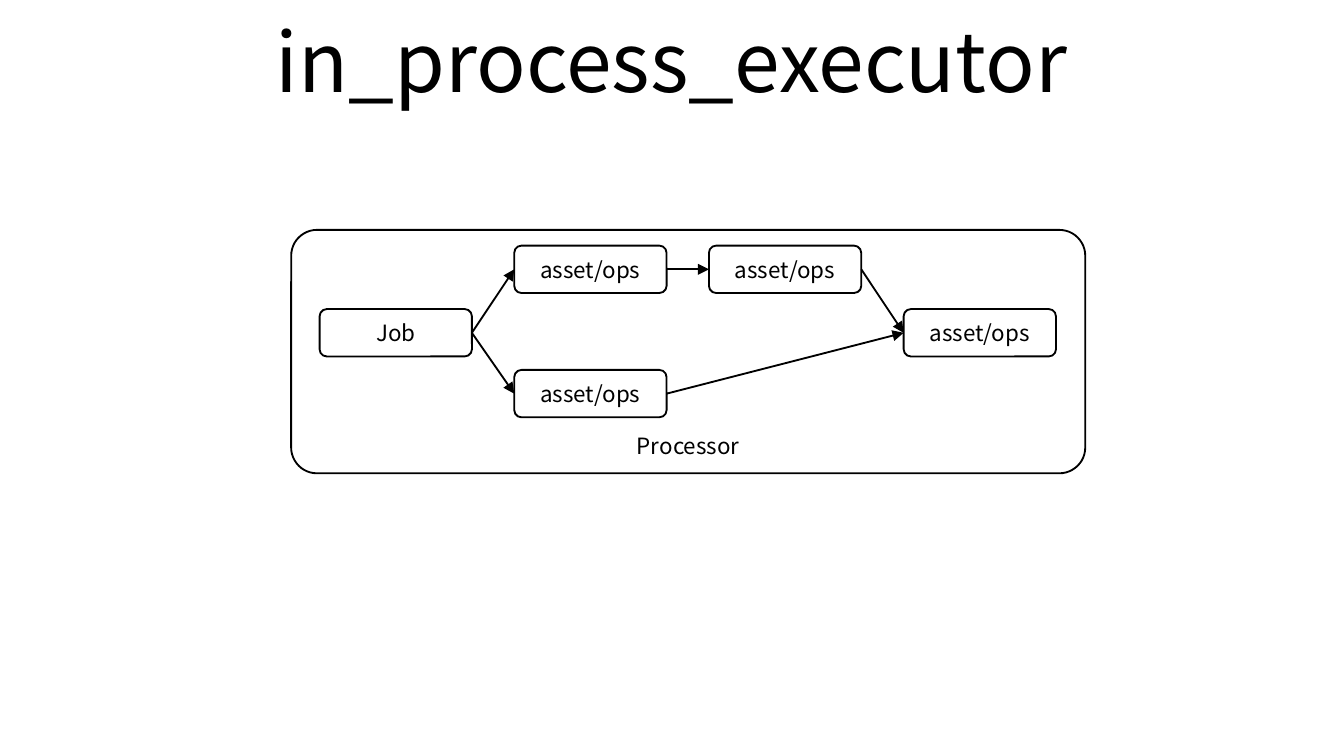
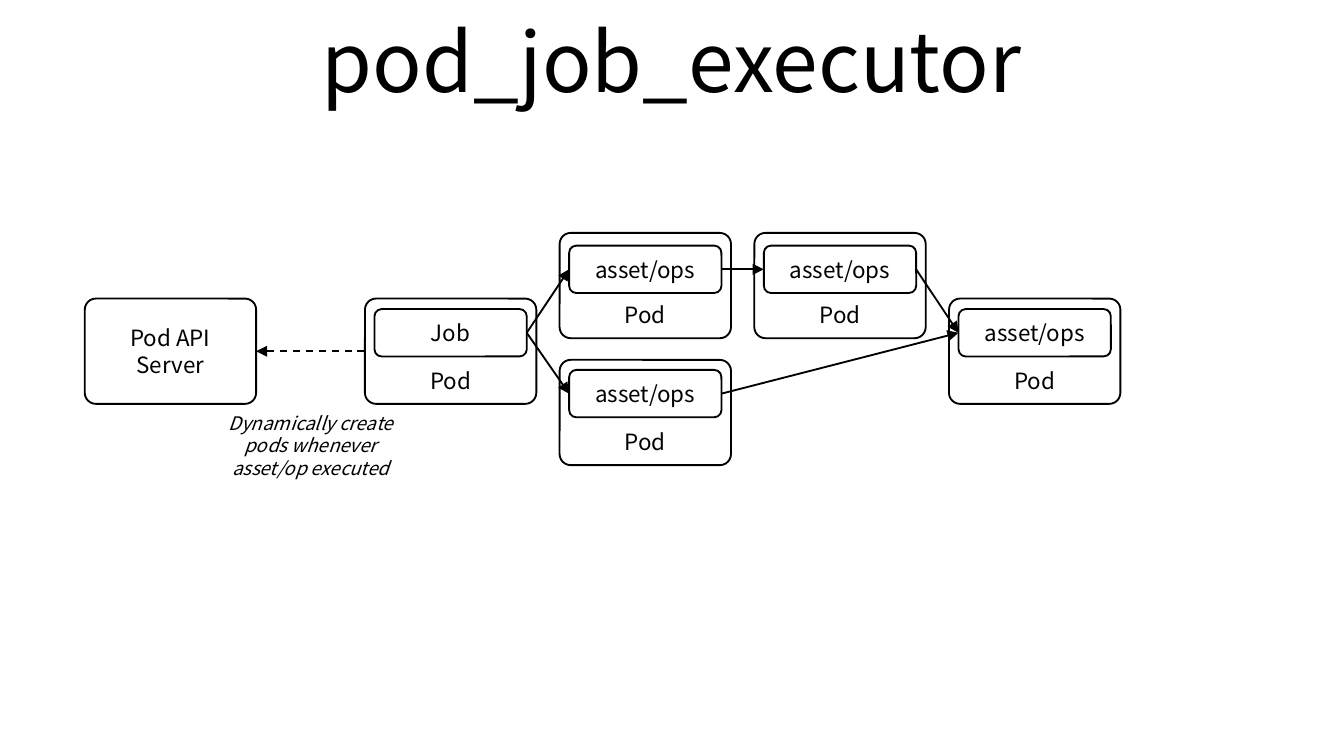
from lxml import etree
from pptx import Presentation
from pptx.dml.color import RGBColor
from pptx.enum import dml, lang, shapes, text
from pptx.oxml import ns
from pptx.util import Pt

# Shared style
FONT = "Noto Sans CJK KR"
BLACK = RGBColor(0, 0, 0)
WHITE = RGBColor(255, 255, 255)
MIDDLE = text.MSO_ANCHOR.MIDDLE
BOTTOM = text.MSO_ANCHOR.BOTTOM
LEFT, RIGHT = 1, 3  # connection sites

# Job graph: label, column, row
STEPS = [
    ("Job", 0, "middle"),
    ("asset/ops", 1, "top"),
    ("asset/ops", 1, "bottom"),
    ("asset/ops", 2, "top"),
    ("asset/ops", 3, "middle"),
]
EDGES = [(0, 1), (0, 2), (1, 3), (3, 4), (2, 4)]
COLUMN_STEP = 104.3
STEP_W, STEP_H = 81.6, 25.4
STEP_TOP = {"top": 131.6, "middle": 165.6, "bottom": 198.2}
POD_W, POD_H = 91.8, 56.4
POD_TOP = {"top": 124.8, "middle": 160, "bottom": 192.8}


def write(tf, lines, size, anchor=MIDDLE, italic=None):
    """Fill a text frame with centred lines."""
    tf.word_wrap = True
    tf.vertical_anchor = anchor
    for i, line in enumerate(lines):
        p = tf.paragraphs[0] if i == 0 else tf.add_paragraph()
        p.alignment = text.PP_ALIGN.CENTER
        r = p.add_run()
        r.text = line
        r.font.name, r.font.size = FONT, Pt(size)
        r.font.language_id = lang.MSO_LANGUAGE_ID.ENGLISH_US
        r.font.italic = italic
        r.font.color.rgb = BLACK


def add_title(s, title):
    sp = s.shapes.add_textbox(Pt(36), Pt(-1.8), Pt(648), Pt(67.6))
    write(sp.text_frame, [title], 44)


def add_box(s, x, y, w, h, lines, anchor=MIDDLE, fill=None, outlined=True,
            radius=0.106, size=12, italic=None):
    sp = s.shapes.add_shape(shapes.MSO_SHAPE.ROUNDED_RECTANGLE,
                            Pt(x), Pt(y), Pt(w), Pt(h))
    sp.adjustments[0] = radius
    sp.shadow.inherit = False
    if fill is None:
        sp.fill.background()
    else:
        sp.fill.solid()
        sp.fill.fore_color.rgb = fill
    if outlined:
        sp.line.color.rgb = BLACK
        sp.line.width = Pt(1)
    else:
        sp.line.fill.background()
    write(sp.text_frame, lines, size, anchor, italic)
    return sp


def add_arrow(s, start, start_site, end, end_site, dashed=False):
    c = s.shapes.add_connector(shapes.MSO_CONNECTOR.STRAIGHT, 0, 0, 0, 0)
    c.begin_connect(start, start_site)
    c.end_connect(end, end_site)
    c.line.color.rgb = BLACK
    c.line.width = Pt(1)
    if dashed:
        c.line.dash_style = dml.MSO_LINE.DASH
    sp_pr = c._element.spPr
    etree.SubElement(sp_pr.find(ns.qn("a:ln")), ns.qn("a:tailEnd"), type="triangle")
    etree.SubElement(sp_pr, ns.qn("a:effectLst"))


def add_job_graph(s, left):
    steps = [
        add_box(s, left + col * COLUMN_STEP, STEP_TOP[row], STEP_W, STEP_H,
                [label], fill=WHITE, radius=0.152)
        for label, col, row in STEPS
    ]
    for a, b in EDGES:
        add_arrow(s, steps[a], RIGHT, steps[b], LEFT)


def add_pods(s, left):
    return [
        add_box(s, left + col * COLUMN_STEP, POD_TOP[row], POD_W, POD_H,
                ["Pod"], BOTTOM)
        for _, col, row in STEPS
    ]


def in_process_slide(s):
    add_title(s, "in_process_executor")
    add_box(s, 156, 123.2, 425.4, 130.4, ["Processor"], BOTTOM, WHITE)
    add_job_graph(s, 171.2)


def pod_job_slide(s):
    add_title(s, "pod_job_executor")
    graph_left = 200.6
    add_job_graph(s, graph_left)
    pods = add_pods(s, graph_left - (POD_W - STEP_W) / 2)
    # API server that creates the pods
    server = add_box(s, 45.4, POD_TOP["middle"], POD_W, POD_H,
                     ["Pod API", "Server"])
    add_arrow(s, pods[0], LEFT, server, RIGHT, dashed=True)
    add_box(s, 103, 216.8, 127, 43.8,
            ["Dynamically create pods whenever asset/op executed"],
            outlined=False, radius=0.152, size=10, italic=True)


def main():
    prs = Presentation()
    prs.slide_width, prs.slide_height = Pt(720), Pt(405)
    for build in (in_process_slide, pod_job_slide):
        build(prs.slides.add_slide(prs.slide_layouts[6]))
    prs.save("out.pptx")


if __name__ == "__main__":
    main()
